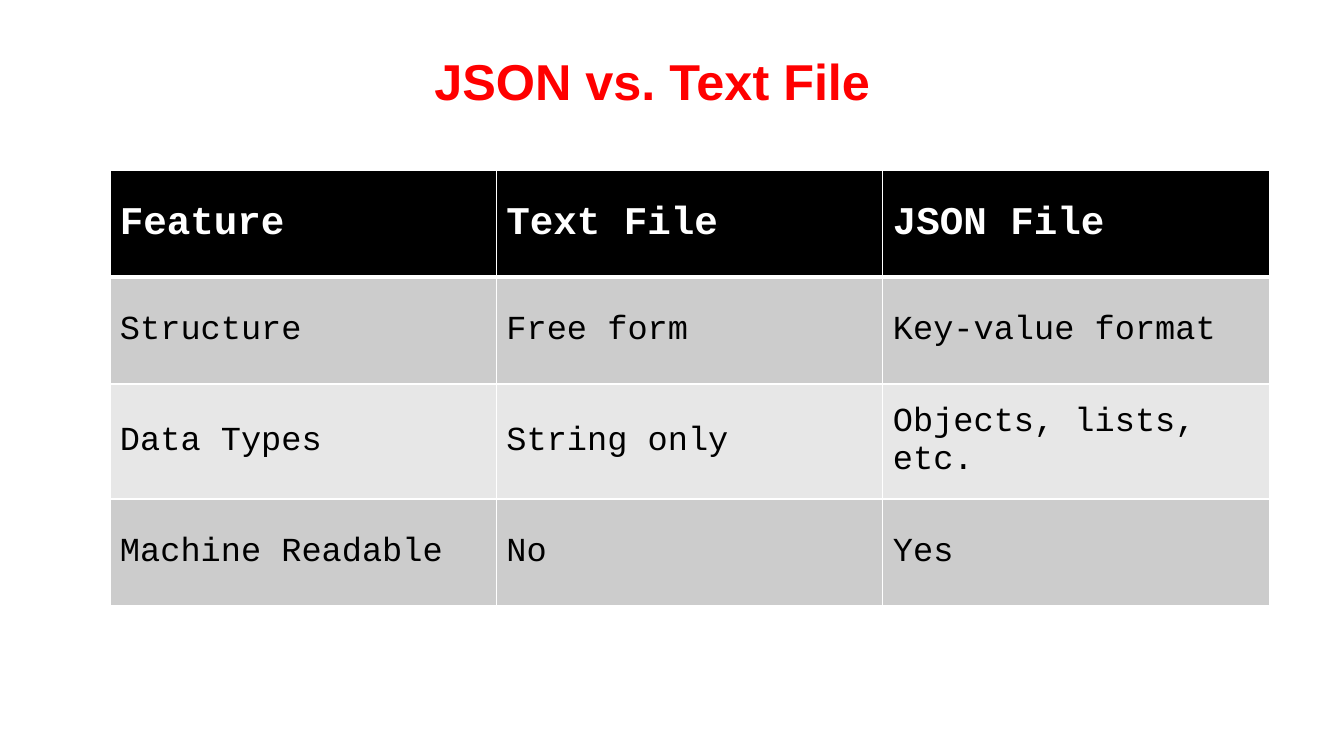
from dataclasses import dataclass

import pptx
import pptx.dml.color
import pptx.enum.text
import pptx.oxml
import pptx.oxml.ns
import pptx.util

EMU_PER_PX = 9144  # 100 px to the inch


@dataclass(frozen=True)
class Theme:
    title_font: str = "Arial"
    table_font: str = "Courier New"
    title_size: int = 36
    header_size: int = 28
    body_size: int = 24
    title_color: str = "FF0000"
    header_color: str = "FFFFFF"
    body_color: str = "000000"
    header_fill: str = "000000"
    band_fills: tuple = ("CCCCCC", "E7E7E7")
    border_color: str = "FFFFFF"
    border_width: int = 1
    header_rule_width: int = 3


def px(length):
    return pptx.util.Emu(length * EMU_PER_PX)


def rgb(code):
    return pptx.dml.color.RGBColor.from_string(code)


def write(frame, text, *, font, size, color, bold=False, align=None, line_spacing=None):
    frame.word_wrap = True
    paragraph = frame.paragraphs[0]
    paragraph.alignment = align
    paragraph.line_spacing = line_spacing
    run = paragraph.add_run()
    run.text = text
    run.font.name = font
    run.font.size = pptx.util.Pt(size)
    run.font.bold = bold
    run.font.color.rgb = rgb(color)


def add_border(cell, side, color, width):
    """Draw one side of a cell; side is L, R, T or B, added in that order."""
    cell._tc.get_or_add_tcPr().append(pptx.oxml.parse_xml(
        f'<a:ln{side} {pptx.oxml.ns.nsdecls("a")} w="{pptx.util.Pt(width)}">'
        f'<a:solidFill><a:srgbClr val="{color}"/></a:solidFill></a:ln{side}>'
    ))


class SlideBuilder:
    def __init__(self, deck, theme):
        self.theme = theme
        self.slide = deck.slides.add_slide(deck.slide_layouts[6])

    def title(self, text, left, top, width, height):
        box = self.slide.shapes.add_textbox(px(left), px(top), px(width), px(height))
        box.text_frame.vertical_anchor = pptx.enum.text.MSO_ANCHOR.MIDDLE
        write(box.text_frame, text, font=self.theme.title_font,
              size=self.theme.title_size, color=self.theme.title_color, bold=True,
              align=pptx.enum.text.PP_ALIGN.CENTER, line_spacing=0.9)

    def table(self, rows, left, top, width, row_heights):
        table = self.slide.shapes.add_table(
            len(rows), len(rows[0]), px(left), px(top), px(width), px(sum(row_heights))
        ).table
        for column in table.columns:
            column.width = px(width) // len(rows[0])
        for row_index, (labels, height) in enumerate(zip(rows, row_heights)):
            table.rows[row_index].height = px(height)
            for column_index, label in enumerate(labels):
                self.cell(table.cell(row_index, column_index), label, row_index)

    def cell(self, cell, label, row_index):
        theme = self.theme
        is_header = row_index == 0
        thin, thick = theme.border_width, theme.header_rule_width
        widths = {
            "L": thin,
            "R": thin,
            "T": thick if row_index == 1 else thin,
            "B": thick if is_header else thin,
        }
        for side, width in widths.items():
            add_border(cell, side, theme.border_color, width)
        band_fill = theme.band_fills[(row_index - 1) % len(theme.band_fills)]
        cell.fill.solid()
        cell.fill.fore_color.rgb = rgb(theme.header_fill if is_header else band_fill)
        cell.vertical_anchor = pptx.enum.text.MSO_ANCHOR.MIDDLE
        write(cell.text_frame, label, font=theme.table_font, bold=is_header,
              size=theme.header_size if is_header else theme.body_size,
              color=theme.header_color if is_header else theme.body_color)


def main():
    deck = pptx.Presentation()
    deck.slide_width, deck.slide_height = px(1333), px(750)

    comparison = SlideBuilder(deck, Theme())
    comparison.title("JSON vs. Text File", left=72, top=29, width=1150, height=110)
    features = [
        ("Feature", "Text File", "JSON File"),
        ("Structure", "Free form", "Key-value format"),
        ("Data Types", "String only", "Objects, lists, etc."),
        ("Machine Readable", "No", "Yes"),
    ]
    comparison.table(features, left=109, top=169, width=1150,
                     row_heights=(106, 106, 114, 106))

    deck.save("out.pptx")


if __name__ == "__main__":
    main()
